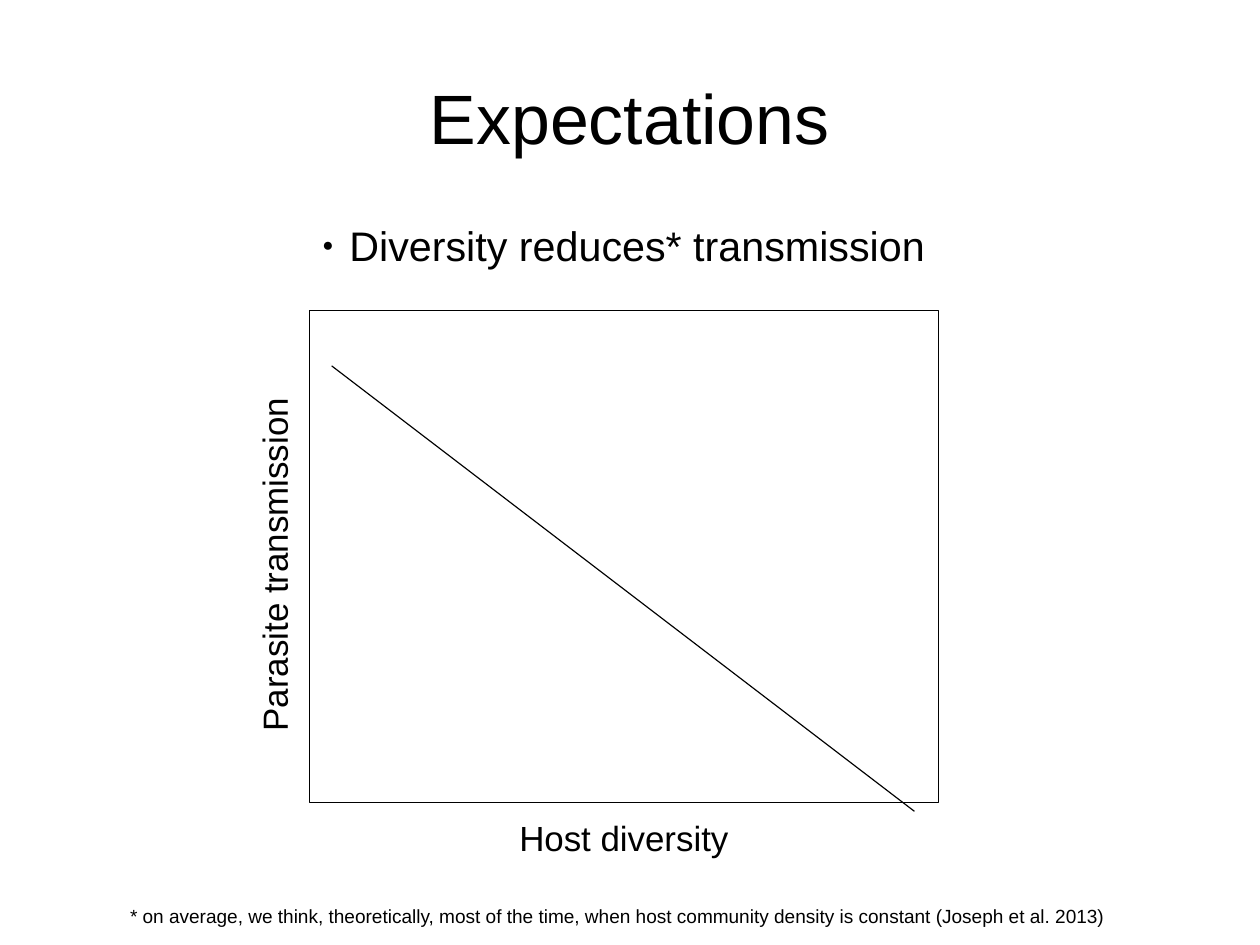
import lxml.etree
import pptx
import pptx.dml.color
import pptx.enum.shapes
import pptx.enum.text
import pptx.oxml.ns
import pptx.util

Cm = pptx.util.Cm
Align = pptx.enum.text.PP_ALIGN
Anchor = pptx.enum.text.MSO_ANCHOR
FONT = "Arial"
BLACK = "000000"
WHITE = "FFFFFF"


def color(code):
    return pptx.dml.color.RGBColor.from_string(code)


def place(shape, box):
    shape.left, shape.top, shape.width, shape.height = [Cm(n) for n in box]


def tag(node, name, **attrs):
    return lxml.etree.SubElement(node, pptx.oxml.ns.qn(name), **attrs)


def write(shape, text, size, align, pad, anchor=Anchor.TOP):
    frame = shape.text_frame
    frame.word_wrap = True
    frame.auto_size = pptx.enum.text.MSO_AUTO_SIZE.NONE
    frame.vertical_anchor = anchor
    frame.margin_left = frame.margin_right = Cm(pad[0])
    frame.margin_top = frame.margin_bottom = Cm(pad[1])
    para = frame.paragraphs[0]
    para.alignment = align
    para.space_before = pptx.util.Pt(0)
    run = para.add_run()
    run.text = text
    run.font.name = FONT
    run.font.size = pptx.util.Pt(size)
    run.font.color.rgb = color(BLACK)
    return para


def label(slide, box, text, size, align=Align.CENTER, turn=0):
    shape = slide.shapes.add_textbox(*[Cm(n) for n in box])
    shape.rotation = turn
    write(shape, text, size, align, (0.25, 0.13))


def head(slide, box):
    title = slide.shapes.title
    place(title, box)
    write(title, "Expectations", 44, Align.CENTER, (0, 0), Anchor.MIDDLE)


def claim(slide, box):
    body = slide.placeholders[1]
    place(body, box)
    para = write(body, "Diversity reduces* transmission", 26, Align.CENTER, (0, 0))
    # Small round bullet with a hanging indent
    props = para._p.get_or_add_pPr()
    props.set("marL", str(Cm(0.6)))
    props.set("indent", str(-Cm(0.6)))
    tag(props, "a:buSzPct", val="45000")
    tag(props, "a:buFont", typeface=FONT)
    tag(props, "a:buChar", char="●")


def graph(slide, box):
    left, top, wide, high = box
    # Plot frame
    plot = slide.shapes.add_shape(
        pptx.enum.shapes.MSO_SHAPE.RECTANGLE, *[Cm(n) for n in box])
    plot.shadow.inherit = False
    plot.fill.solid()
    plot.fill.fore_color.rgb = color(WHITE)

    # Axis labels
    tall = 1.22
    label(slide, (left, top + high + 0.18, wide, tall), "Host diversity", 22)
    mid = top + high / 2 + 0.18
    label(slide, (left - 0.78 - wide / 2, mid - tall / 2, wide, tall),
          "Parasite transmission", 22, turn=270)

    # Falling trend, ending just below the frame
    trend = slide.shapes.add_connector(
        pptx.enum.shapes.MSO_CONNECTOR.STRAIGHT,
        Cm(left + 0.49), Cm(top + 1.22),
        Cm(left + wide - 0.53), Cm(top + high + 0.2))
    tag(trend._element.spPr, "a:effectLst")
    for shape in (plot, trend):
        shape.line.color.rgb = color(BLACK)
        shape.line.width = pptx.util.Pt(0.75)


def note(slide, box):
    label(slide, box,
          "* on average, we think, theoretically, most of the time, when host "
          "community density is constant (Joseph et al. 2013)", 12, Align.LEFT)


def main():
    deck = pptx.Presentation()
    deck.slide_width, deck.slide_height = Cm(28), Cm(21)
    slide = deck.slides.add_slide(deck.slide_layouts[1])
    head(slide, (1.4, 0.84, 25.2, 3.5))
    claim(slide, (1.27, 4.9, 25.2, 12.17))
    graph(slide, (6.88, 6.91, 13.97, 10.92))
    note(slide, (2.64, 19.96, 25.2, 0.79))
    deck.save("out.pptx")


if __name__ == "__main__":
    main()
